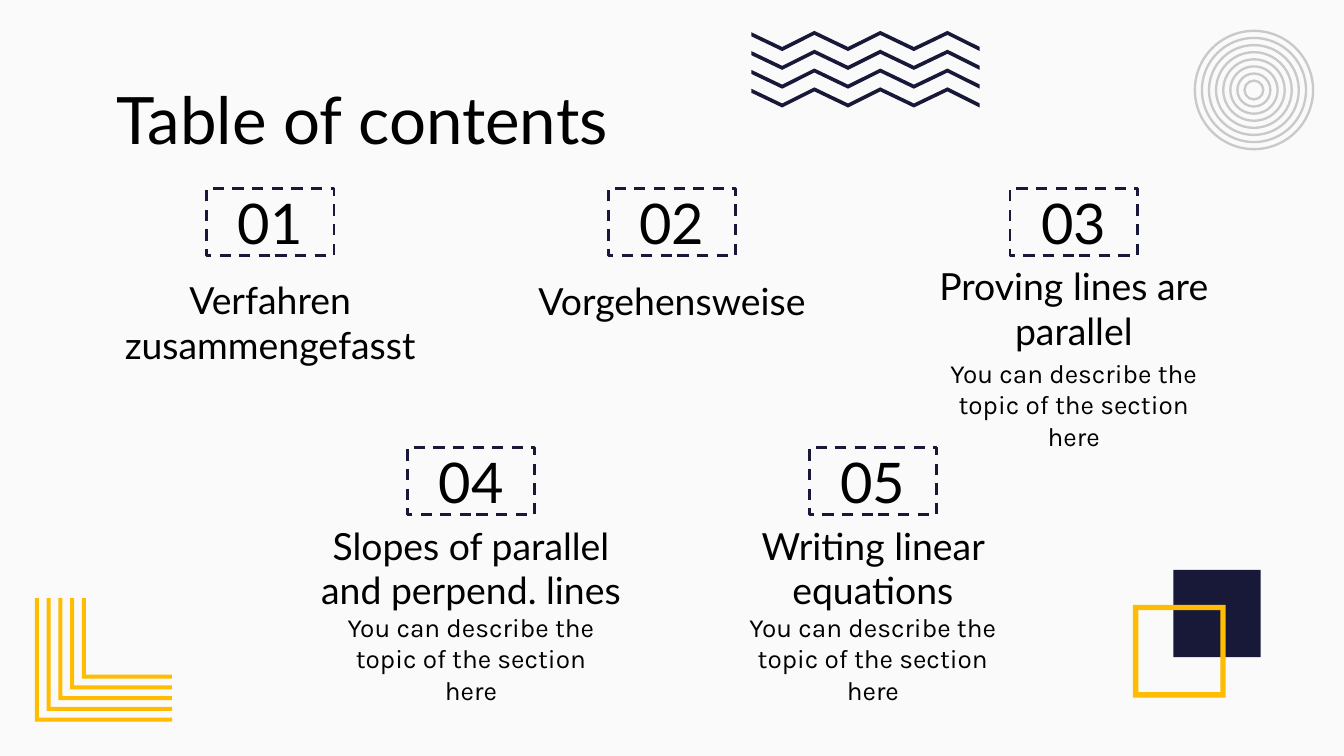
from dataclasses import dataclass

from pptx import Presentation
from pptx.dml.color import RGBColor
from pptx.enum.dml import MSO_LINE_DASH_STYLE as Dash
from pptx.enum.shapes import MSO_SHAPE as Preset
from pptx.enum.text import MSO_ANCHOR as Anchor, PP_ALIGN as Align
from pptx.util import Inches, Pt

NAVY, YELLOW, GRAY = "181839", "FFBC00", "C9C9C9"
BLACK, PAPER = "000000", "FAFAFA"
COLUMN_PITCH = 2.99
TOPIC = "You can describe the topic of the section here"


@dataclass
class Section:
    number: str
    heading: str
    column: float
    top: float
    heading_drop: float = 0.46
    heading_width: float = 2.62
    topic: str = ""
    topic_drop: float = 1.12


SECTIONS = [
    Section("01", "Verfahren\nzusammengefasst", -1, 1.4, 0.56, 2.88),
    Section("02", "Vorgehensweise", 0, 1.4, 0.57),
    Section("03", "Proving lines are parallel", 1, 1.4, topic=TOPIC, topic_drop=1.16),
    Section("04", "Slopes of parallel and perpend. lines", -0.5, 3.33, topic=TOPIC),
    Section("05", "Writing linear equations", 0.5, 3.33, topic=TOPIC),
]


def color(value: str) -> RGBColor:
    return RGBColor.from_string(value)


def paint(shape, fill: str = "", line: str = "", weight: float = 1.5) -> None:
    shape.shadow.inherit = False
    if fill:
        shape.fill.solid()
        shape.fill.fore_color.rgb = color(fill)
    else:
        shape.fill.background()
    if line:
        shape.line.color.rgb = color(line)
        shape.line.width = Pt(weight)
    else:
        shape.line.fill.background()


def add_preset(slide, preset, left: float, top: float, width: float, height: float):
    return slide.shapes.add_shape(
        preset, Inches(left), Inches(top), Inches(width), Inches(height)
    )


def add_outline(slide, points: list[tuple[float, float]], fill: str) -> None:
    corners = [(Inches(x), Inches(y)) for x, y in points]
    builder = slide.shapes.build_freeform(*corners[0])
    builder.add_line_segments(corners[1:], close=True)
    paint(builder.convert_to_shape(), fill)


def write(shape, text: str, size: float, font: str = "Lato",
          align: Align = Align.CENTER, anchor: Anchor = Anchor.TOP) -> None:
    frame = shape.text_frame
    frame.word_wrap = True
    frame.vertical_anchor = anchor
    frame.margin_left = frame.margin_right = Inches(0.1)
    frame.margin_top = frame.margin_bottom = Inches(0.1)
    paragraph = frame.paragraphs[0]
    paragraph.alignment = align
    for index, part in enumerate(text.split("\n")):
        if index:
            paragraph.add_line_break()
        run = paragraph.add_run()
        run.text = part
        run.font.name = font
        run.font.size = Pt(size)
        run.font.color.rgb = color(BLACK)


def add_text(slide, left: float, top: float, width: float, height: float,
             text: str, size: float, font: str = "Lato",
             align: Align = Align.CENTER) -> None:
    box = slide.shapes.add_textbox(
        Inches(left), Inches(top), Inches(width), Inches(height)
    )
    write(box, text, size, font, align)


def draw_corners(slide) -> None:
    top, right, thick = 4.45, 1.28, 0.03
    for step in range(5):
        left, bottom = 0.26 + 0.35 * step / 4, 5.37 - 0.08 * step
        add_outline(slide, [
            (left, top), (left, bottom), (right, bottom), (right, bottom - thick),
            (left + thick, bottom - thick), (left + thick, top),
        ], YELLOW)


def draw_squares(slide) -> None:
    paint(add_preset(slide, Preset.RECTANGLE, 8.73, 4.24, 0.65, 0.65), NAVY)
    border = add_preset(slide, Preset.FRAME, 8.43, 4.5, 0.69, 0.69)
    border.adjustments[0] = 0.04 / 0.69
    paint(border, YELLOW)


def draw_rings(slide) -> None:
    center_x, center_y = 9.33, 0.67
    outer, inner, count = 0.44, 0.07, 8
    for step in range(count):
        radius = outer - (outer - inner) * step / (count - 1)
        ring = add_preset(slide, Preset.OVAL, center_x - radius, center_y - radius,
                          2 * radius, 2 * radius)
        paint(ring, line=GRAY, weight=1.25)


def draw_zigzags(slide) -> None:
    xs = [5.59, 5.82, 6.06, 6.31, 6.55, 6.8, 7.05, 7.29]
    drops = [0.01] + [0.12, 0] * 3 + [0.12]
    for row in range(4):
        top = 0.23 + 0.14 * row
        upper = [(x, top + drop) for x, drop in zip(xs, drops)]
        lower = [(x, y + 0.03) for x, y in reversed(upper)]
        add_outline(slide, upper + lower, NAVY)


def draw_section(slide, section: Section) -> None:
    center = 5 + COLUMN_PITCH * section.column
    width = section.heading_width
    add_text(slide, center - width / 2, section.top + section.heading_drop,
             width, 0.75, section.heading, 20)
    if section.topic:
        add_text(slide, center - 2.11 / 2, section.top + section.topic_drop,
                 2.11, 0.76, section.topic, 14, "Karla")
    number = add_preset(slide, Preset.RECTANGLE, center - 0.95 / 2, section.top,
                        0.95, 0.5)
    paint(number, line=NAVY)
    number.line.dash_style = Dash.DASH
    write(number, section.number, 30, anchor=Anchor.MIDDLE)


def main() -> None:
    deck = Presentation()
    deck.slide_width = Inches(10)
    deck.slide_height = deck.slide_width * 9 // 16
    slide = deck.slides.add_slide(deck.slide_layouts[6])
    slide.background.fill.solid()
    slide.background.fill.fore_color.rgb = color(PAPER)
    draw_corners(slide)
    draw_squares(slide)
    draw_rings(slide)
    draw_zigzags(slide)
    add_text(slide, 0.77, 0.49, 8.45, 0.63, "Table of contents", 35, align=Align.LEFT)
    for section in SECTIONS:
        draw_section(slide, section)
    deck.save("out.pptx")


if __name__ == "__main__":
    main()
